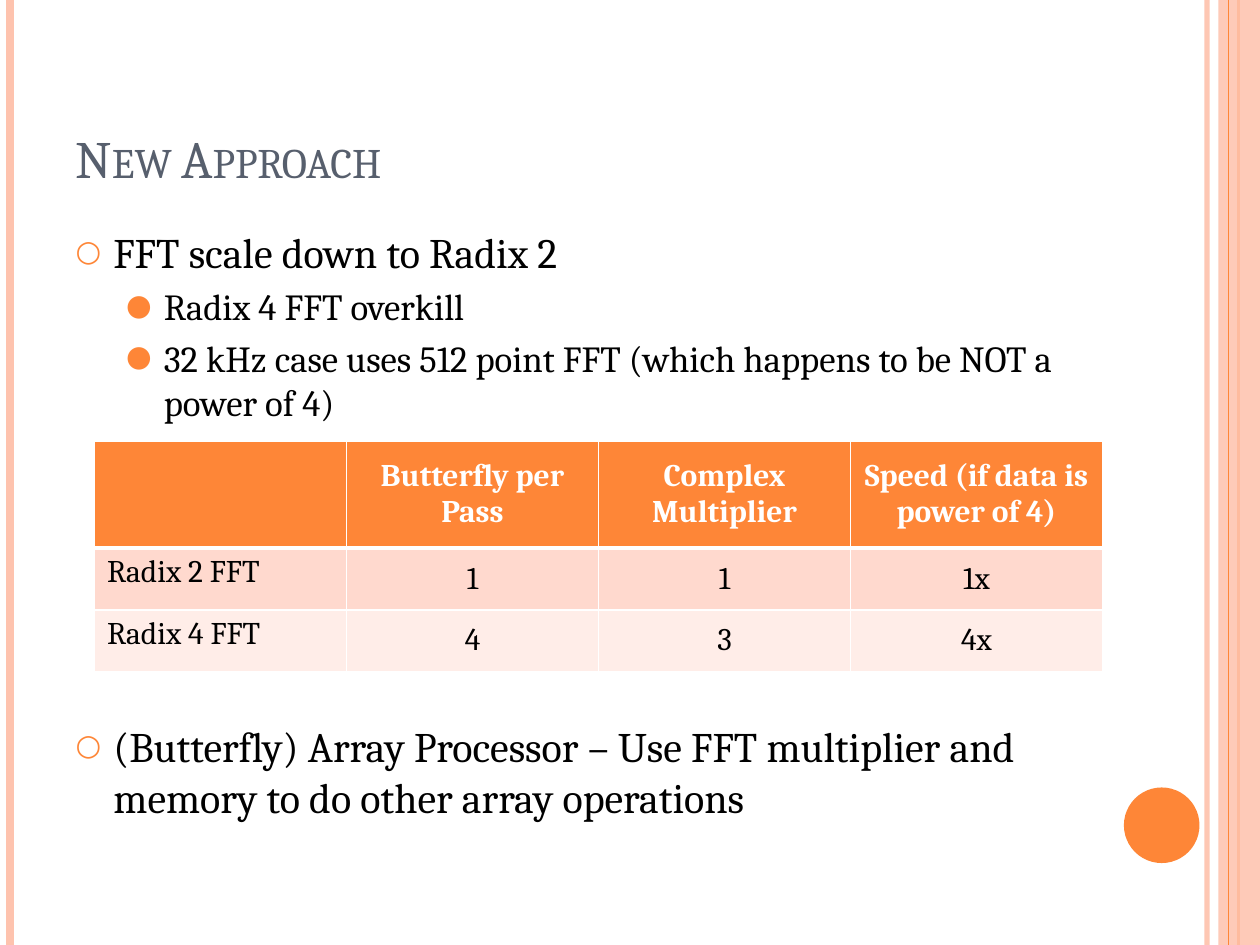
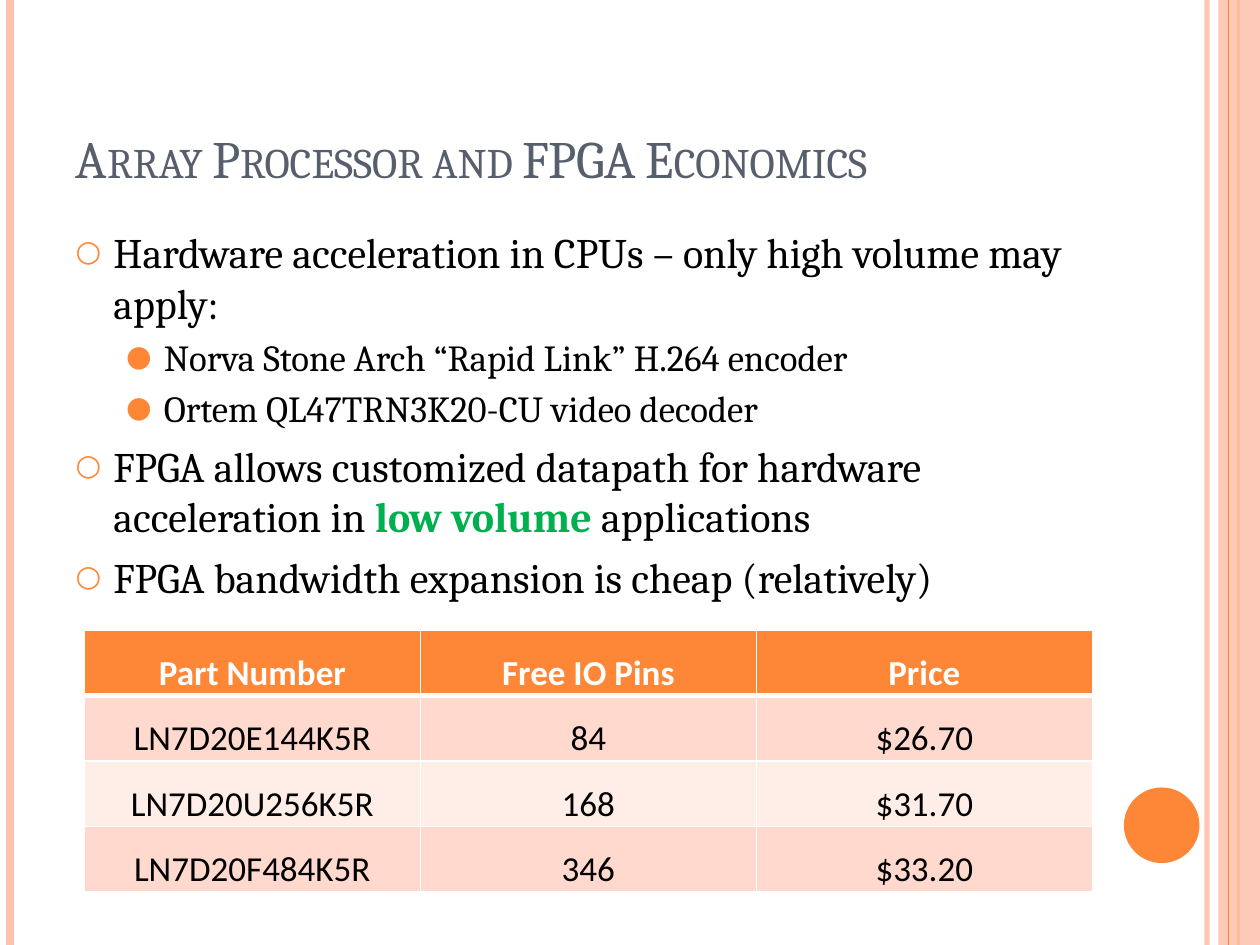
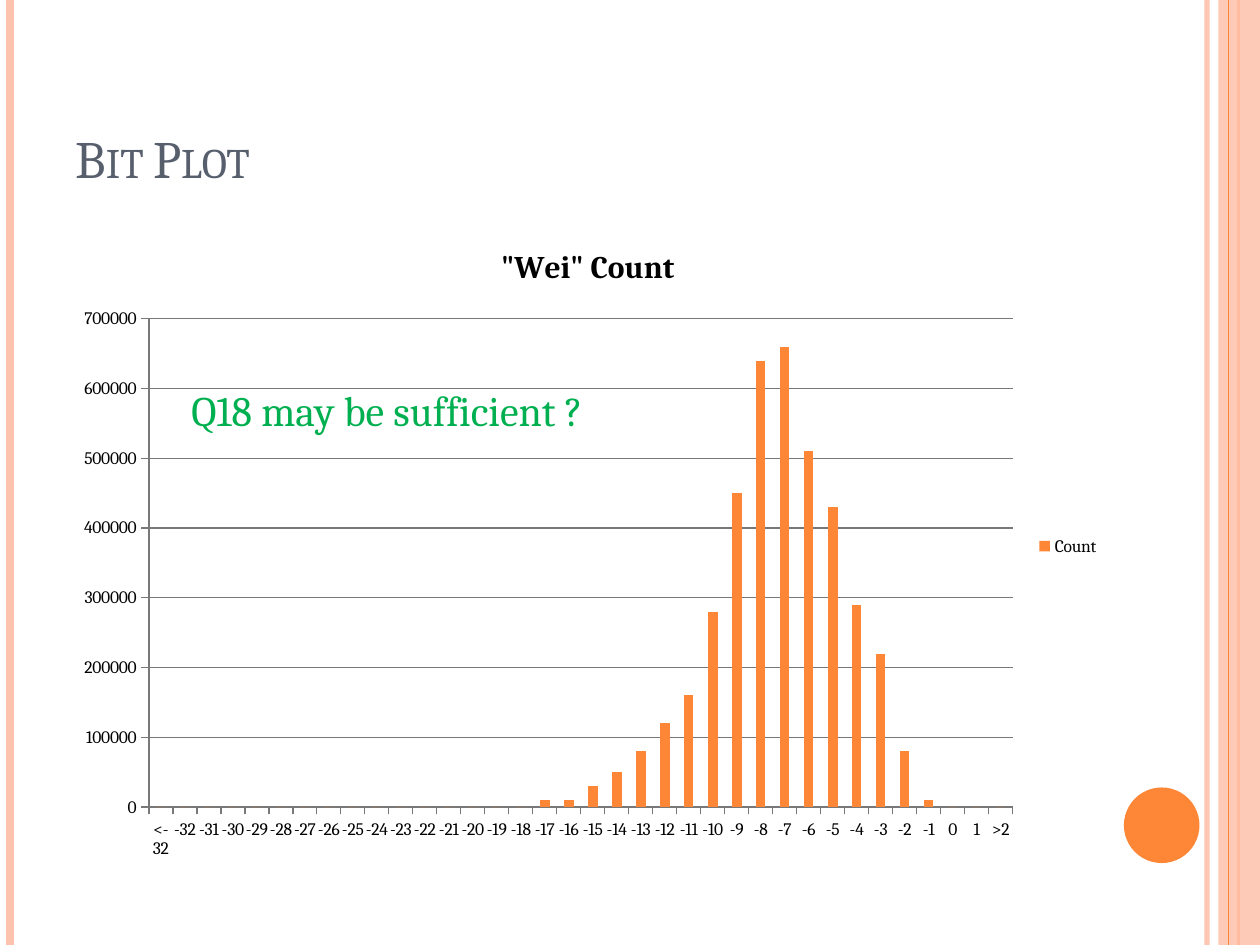
from dataclasses import dataclass

from lxml import etree
from pptx import Presentation
from pptx.chart.data import CategoryChartData
from pptx.dml.color import RGBColor
from pptx.enum.chart import XL_CHART_TYPE, XL_LEGEND_POSITION, XL_TICK_MARK
from pptx.enum.shapes import MSO_CONNECTOR, MSO_SHAPE
from pptx.enum.text import MSO_ANCHOR, MSO_AUTO_SIZE, PP_ALIGN
from pptx.oxml.ns import qn
from pptx.util import Inches, Pt

COLUMNS = XL_CHART_TYPE.COLUMN_CLUSTERED
LEGEND_RIGHT = XL_LEGEND_POSITION.RIGHT
TICK_OUTSIDE = XL_TICK_MARK.OUTSIDE
STRAIGHT = MSO_CONNECTOR.STRAIGHT
RECTANGLE, OVAL = MSO_SHAPE.RECTANGLE, MSO_SHAPE.OVAL
TOP, MIDDLE, BOTTOM = MSO_ANCHOR.TOP, MSO_ANCHOR.MIDDLE, MSO_ANCHOR.BOTTOM
NO_AUTOFIT = MSO_AUTO_SIZE.NONE
LEFT, CENTER = PP_ALIGN.LEFT, PP_ALIGN.CENTER
CONTENT_LAYOUT, TITLE_LAYOUT = 1, 5


@dataclass(frozen=True)
class Theme:
    serif: str = "Cambria"
    sans: str = "Calibri"
    orange: RGBColor = RGBColor(0xFE, 0x86, 0x37)
    peach: RGBColor = RGBColor(0xFE, 0xC3, 0xAE)
    band_dark: RGBColor = RGBColor(0xFF, 0xD9, 0xCE)
    band_light: RGBColor = RGBColor(0xFF, 0xED, 0xE8)
    slate: RGBColor = RGBColor(0x57, 0x5F, 0x6D)
    green: RGBColor = RGBColor(0x00, 0xB0, 0x50)
    gray: RGBColor = RGBColor(0x78, 0x78, 0x78)
    black: RGBColor = RGBColor(0, 0, 0)
    white: RGBColor = RGBColor(0xFF, 0xFF, 0xFF)
    title_size: float = 30
    body_size: float = 24
    detail_size: float = 21
    radix_size: float = 18
    price_size: float = 20
    callout_size: float = 24
    chart_title_size: float = 18
    chart_size: float = 10


THEME = Theme()


@dataclass(frozen=True)
class Box:
    left: float
    top: float
    width: float
    height: float

    def emu(self) -> tuple[int, ...]:
        return tuple(map(Inches, (self.left, self.top, self.width, self.height)))


@dataclass(frozen=True)
class Stripe:
    x: float
    color: RGBColor
    weight: float
    opacity: int = 100


@dataclass(frozen=True)
class Level:
    size: float
    indent: float
    before: float
    mark: str
    mark_percent: int


@dataclass(frozen=True)
class Bullet:
    phrases: tuple[str, ...]
    level: int = 0
    before: float | None = None


@dataclass(frozen=True)
class Grid:
    box: Box
    rows: tuple[tuple[str, ...], ...]
    row_heights: tuple[float, ...]
    font: str
    size: float
    line_spacing: float = 1.0
    side_margin: float = 0.1
    end_margin: float = 0.05
    left_labels: bool = False


TITLE_BOX = Box(0.5, 0.3, 8.17, 1.25)
BODY_BOX = Box(0.5, 1.75, 8.17, 5.33)
LEVELS = (
    Level(THEME.body_size, 0.3, 6, "○", 70),
    Level(THEME.detail_size, 0.7, 4, "●", 80),
)
HANGING = 0.3
BACK_STRIPES = (
    Stripe(9.58, THEME.peach, 3, 93),
    Stripe(0.08, THEME.peach, 4.5),
    Stripe(9.83, THEME.orange, 1.5),
)
FRONT_STRIPE = Stripe(9.75, THEME.orange, 0.75)
SIDE_BAND = Box(9.67, 0, 0.33, 7.5)
DISC = Box(8.92, 6.25, 0.6, 0.6)

APPROACH = (
    Bullet(("FFT scale down to Radix 2",)),
    Bullet(("Radix 4 FFT overkill",), 1),
    Bullet(("32 kHz case uses 512 point FFT (which happens to be NOT a power of 4)",), 1),
    Bullet(("(Butterfly) Array Processor – Use FFT multiplier and memory to do other "
            "array operations",), before=170),
)
RADIX_GRID = Grid(
    Box(0.75, 3.5, 8, 1.83),
    (
        ("", "Butterfly per Pass", "Complex Multiplier", "Speed (if data is power of 4)"),
        ("Radix 2 FFT", "1", "1", "1x"),
        ("Radix 4 FFT", "4", "3", "4x"),
    ),
    (0.85, 0.49, 0.49), THEME.serif, THEME.radix_size, left_labels=True,
)
ECONOMICS = (
    Bullet(("Hardware acceleration in CPUs – only high volume may apply:",)),
    Bullet(("Norva Stone Arch “Rapid Link” H.264 encoder",), 1),
    Bullet(("Ortem QL47TRN3K20-CU video decoder",), 1),
    Bullet(("FPGA allows customized datapath for hardware acceleration in ",
            "low volume", " applications")),
    Bullet(("FPGA bandwidth expansion is cheap (relatively)",)),
)
PART_GRID = Grid(
    Box(0.67, 5, 8, 2.08),
    (
        ("Part Number", "Free IO Pins", "Price"),
        ("LN7D20E144K5R", "84", "$26.70"),
        ("LN7D20U256K5R", "168", "$31.70"),
        ("LN7D20F484K5R", "346", "$33.20"),
    ),
    (0.52,) * 4, THEME.sans, THEME.price_size, 1.5, 0.07, 0,
)
BIT_LABELS = ("<-32", *map(str, range(-32, 2)), ">2")
BIT_COUNTS = (0,) * 16 + (
    10000, 10000, 30000, 50000, 80000, 120000, 160000, 280000, 450000, 640000,
    660000, 510000, 430000, 290000, 220000, 80000, 10000, 0, 0, 0,
)


def style_font(font, size: float, color: RGBColor, name: str = THEME.serif,
               bold: bool = False) -> None:
    font.name, font.size, font.bold = name, Pt(size), bold
    font.color.rgb = color


def set_opacity(element, percent: int) -> None:
    for color in element.iter(qn("a:srgbClr")):
        etree.SubElement(color, qn("a:alpha"), val=str(percent * 1000))


def draw_stripe(slide, stripe: Stripe, height: int):
    x = Inches(stripe.x)
    line = slide.shapes.add_connector(STRAIGHT, x, 0, x, height)
    line.line.color.rgb = stripe.color
    line.line.width = Pt(stripe.weight)
    etree.SubElement(line.element.spPr, qn("a:effectLst"))
    if stripe.opacity < 100:
        set_opacity(line.element, stripe.opacity)
    return line


def draw_block(slide, kind, box: Box, color: RGBColor):
    block = slide.shapes.add_shape(kind, *box.emu())
    block.shadow.inherit = False
    block.fill.solid()
    block.fill.fore_color.rgb = color
    block.line.fill.background()
    return block


def decorate_master(prs, slide) -> None:
    height = prs.slide_height
    decor = [draw_stripe(slide, stripe, height) for stripe in BACK_STRIPES]
    band = draw_block(slide, RECTANGLE, SIDE_BAND, THEME.peach)
    set_opacity(band.element.spPr, 87)
    decor += [band, draw_stripe(slide, FRONT_STRIPE, height),
              draw_block(slide, OVAL, DISC, THEME.orange)]
    for number, ornament in enumerate(decor, 100):
        ornament.element.xpath(".//p:cNvPr")[0].set("id", str(number))
        prs.slide_master.shapes.element.append(ornament.element)


def place(placeholder, box: Box):
    placeholder.left, placeholder.top, placeholder.width, placeholder.height = box.emu()
    frame = placeholder.text_frame
    frame.auto_size = NO_AUTOFIT
    return frame


def add_titled_slide(prs, layout: int, title: str):
    slide = prs.slides.add_slide(prs.slide_layouts[layout])
    frame = place(slide.shapes.title, TITLE_BOX)
    frame.text = title
    frame.vertical_anchor = BOTTOM
    heading = frame.paragraphs[0]
    heading.alignment = LEFT
    style_font(heading.runs[0].font, THEME.title_size, THEME.slate)
    heading.runs[0]._r.get_or_add_rPr().set("cap", "small")
    return slide


def write_bullet(paragraph, bullet: Bullet) -> None:
    level = LEVELS[bullet.level]
    paragraph.level = bullet.level
    paragraph.space_before = Pt(level.before if bullet.before is None else bullet.before)
    for index, phrase in enumerate(bullet.phrases):
        run = paragraph.add_run()
        run.text = phrase
        stressed = index % 2 == 1
        style_font(run.font, level.size, THEME.green if stressed else THEME.black,
                   bold=stressed)
    props = paragraph._p.get_or_add_pPr()
    props.set("marL", str(Inches(level.indent)))
    props.set("indent", str(-Inches(HANGING)))
    tint = etree.SubElement(props, qn("a:buClr"))
    etree.SubElement(tint, qn("a:srgbClr"), val=str(THEME.orange))
    etree.SubElement(props, qn("a:buSzPct"), val=str(level.mark_percent * 1000))
    etree.SubElement(props, qn("a:buFont"), typeface=THEME.serif)
    etree.SubElement(props, qn("a:buChar"), char=level.mark)


def write_body(slide, bullets: tuple[Bullet, ...]) -> None:
    frame = place(slide.placeholders[1], BODY_BOX)
    for index, bullet in enumerate(bullets):
        write_bullet(frame.add_paragraph() if index else frame.paragraphs[0], bullet)


def border_cell(cell, row: int) -> None:
    props = cell._tc.get_or_add_tcPr()
    weights = {"L": 1, "R": 1, "T": 3 if row == 1 else 1, "B": 3 if row == 0 else 1}
    for side, weight in weights.items():
        edge = etree.SubElement(props, qn(f"a:ln{side}"), w=str(Pt(weight)))
        fill = etree.SubElement(edge, qn("a:solidFill"))
        etree.SubElement(fill, qn("a:srgbClr"), val=str(THEME.white))


def fill_cell(cell, text: str, row: int, column: int, grid: Grid) -> None:
    header = row == 0
    label = grid.left_labels and column == 0 and not header
    border_cell(cell, row)
    cell.fill.solid()
    band = THEME.band_dark if row % 2 else THEME.band_light
    cell.fill.fore_color.rgb = THEME.orange if header else band
    cell.margin_left = cell.margin_right = Inches(grid.side_margin)
    cell.margin_top = cell.margin_bottom = Inches(grid.end_margin)
    cell.vertical_anchor = TOP if label else MIDDLE
    cell.text_frame.text = text
    paragraph = cell.text_frame.paragraphs[0]
    paragraph.alignment = LEFT if label else CENTER
    paragraph.line_spacing = grid.line_spacing
    for run in paragraph.runs:
        style_font(run.font, grid.size, THEME.white if header else THEME.black,
                   grid.font, header)


def draw_grid(slide, grid: Grid) -> None:
    columns = len(grid.rows[0])
    table = slide.shapes.add_table(len(grid.rows), columns, *grid.box.emu()).table
    for column in table.columns:
        column.width = Inches(grid.box.width / columns)
    for row, texts in enumerate(grid.rows):
        table.rows[row].height = Inches(grid.row_heights[row])
        for column, text in enumerate(texts):
            fill_cell(table.cell(row, column), text, row, column, grid)


def draw_bit_chart(slide) -> None:
    counts = CategoryChartData()
    counts.categories = BIT_LABELS
    counts.add_series("Count", BIT_COUNTS)
    chart = slide.shapes.add_chart(COLUMNS, *Box(0.5, 1.75, 8.33, 5.17).emu(), counts).chart
    style_font(chart.font, THEME.chart_size, THEME.black)
    chart.has_title = True
    chart.chart_title.text_frame.text = '"Wei" Count'
    heading = chart.chart_title.text_frame.paragraphs[0].runs[0]
    style_font(heading.font, THEME.chart_title_size, THEME.black, bold=True)
    chart.has_legend = True
    chart.legend.position = LEGEND_RIGHT
    chart.legend.include_in_layout = False
    plot = chart.plots[0]
    plot.vary_by_categories = False
    plot.gap_width = 150
    bars = plot.series[0]
    bars.format.fill.solid()
    bars.format.fill.fore_color.rgb = THEME.orange
    scale = chart.value_axis
    scale.minimum_scale, scale.maximum_scale, scale.major_unit = 0, 700000, 100000
    scale.has_major_gridlines = True
    for axis in (scale, chart.category_axis):
        axis.major_tick_mark = TICK_OUTSIDE
    for ruled in (scale, chart.category_axis, scale.major_gridlines):
        ruled.format.line.color.rgb = THEME.gray
        ruled.format.line.width = Pt(0.75)


def draw_callout(slide, text: str, box: Box) -> None:
    frame = slide.shapes.add_textbox(*box.emu()).text_frame
    frame.word_wrap = True
    frame.text = text
    style_font(frame.paragraphs[0].runs[0].font, THEME.callout_size, THEME.green)


def main() -> None:
    prs = Presentation()
    prs.slide_width, prs.slide_height = Inches(10), Inches(7.5)

    approach = add_titled_slide(prs, CONTENT_LAYOUT, "New Approach")
    decorate_master(prs, approach)
    write_body(approach, APPROACH)
    draw_grid(approach, RADIX_GRID)

    economics = add_titled_slide(prs, CONTENT_LAYOUT, "Array Processor and FPGA Economics")
    write_body(economics, ECONOMICS)
    draw_grid(economics, PART_GRID)

    bit_plot = add_titled_slide(prs, TITLE_LAYOUT, "Bit Plot")
    draw_bit_chart(bit_plot)
    draw_callout(bit_plot, "Q18 may be sufficient ?", Box(1.42, 3, 3.92, 0.5))

    prs.save("out.pptx")


if __name__ == "__main__":
    main()
